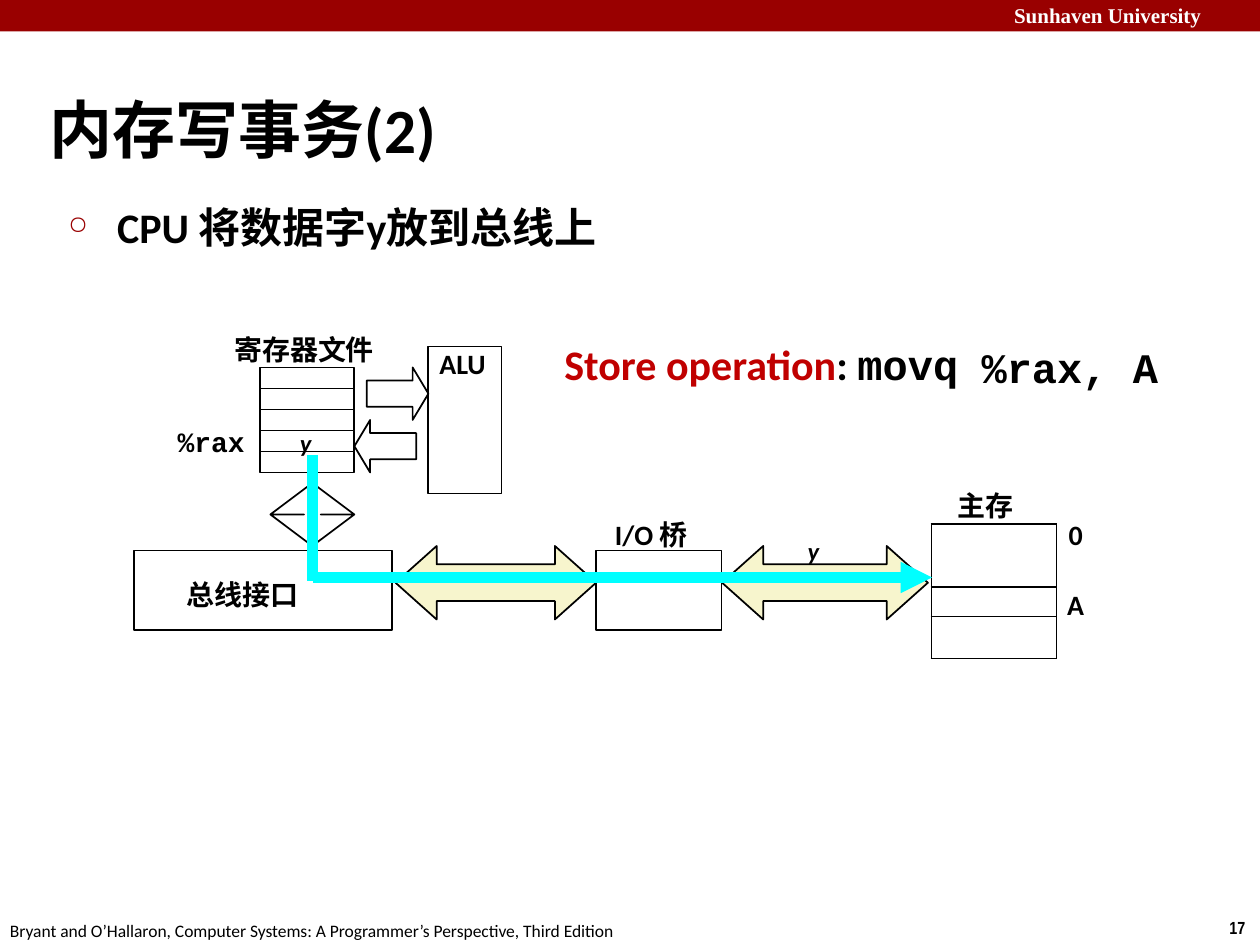
from lxml import etree
from pptx import Presentation
from pptx.dml.color import RGBColor
from pptx.enum.shapes import MSO_CONNECTOR, MSO_SHAPE
from pptx.enum.text import MSO_ANCHOR, PP_ALIGN
from pptx.oxml.ns import qn
from pptx.util import Pt

RECTANGLE = MSO_SHAPE.RECTANGLE
TRIANGLE = MSO_SHAPE.ISOSCELES_TRIANGLE
RIGHT_ARROW = MSO_SHAPE.RIGHT_ARROW
LEFT_ARROW = MSO_SHAPE.LEFT_ARROW
UP_DOWN_ARROW = MSO_SHAPE.UP_DOWN_ARROW
LEFT_RIGHT_ARROW = MSO_SHAPE.LEFT_RIGHT_ARROW
STRAIGHT = MSO_CONNECTOR.STRAIGHT
TOP, MIDDLE = MSO_ANCHOR.TOP, MSO_ANCHOR.MIDDLE
LEFT = PP_ALIGN.LEFT

BLACK, WHITE = "000000", "FFFFFF"
DARK_RED, RED = "990000", "C00000"
CREAM, CYAN = "F7F5CD", "00FFFF"
SANS, MONO = "Calibri", "Courier New"


def color(hex_string):
    return RGBColor.from_string(hex_string)


class Diagram:
    """Draws styled elements on one slide, with lengths in points."""

    def __init__(self, slide):
        self.slide = slide

    def box(self, kind, left, top, width, height, fill=None, line=BLACK, adjustments=()):
        shape = self.slide.shapes.add_shape(kind, Pt(left), Pt(top), Pt(width), Pt(height))
        shape.shadow.inherit = False
        if fill:
            shape.fill.solid()
            shape.fill.fore_color.rgb = color(fill)
        else:
            shape.fill.background()
        if line:
            shape.line.color.rgb = color(line)
            shape.line.width = Pt(1)
        else:
            shape.line.fill.background()
        for index, value in enumerate(adjustments):
            shape.adjustments[index] = value
        return shape

    def add_runs(self, shape, runs, size, insets=(0, 0, 0, 0), anchor=TOP, wrap=True, bold=True, italic=False):
        frame = shape.text_frame
        frame.word_wrap = wrap
        frame.vertical_anchor = anchor
        frame.margin_left, frame.margin_top, frame.margin_right, frame.margin_bottom = map(Pt, insets)
        paragraph = frame.paragraphs[0]
        paragraph.alignment = LEFT
        for text, font, ink in runs:
            run = paragraph.add_run()
            run.text = text
            run.font.name = font
            run.font.size = Pt(size)
            run.font.bold = bold
            run.font.italic = italic
            run.font.color.rgb = color(ink)
        return paragraph

    def text(self, left, top, width, height, text, size, font=SANS, ink=BLACK, **options):
        runs = [(text, font, ink)] if isinstance(text, str) else text
        shape = self.slide.shapes.add_textbox(Pt(left), Pt(top), Pt(width), Pt(height))
        return self.add_runs(shape, runs, size, **options)

    def bullet(self, paragraph, character, ink, percent, margin, hanging):
        properties = paragraph._p.get_or_add_pPr()
        properties.set("marL", str(Pt(margin)))
        properties.set("indent", str(-Pt(hanging)))
        bullet_color = etree.SubElement(properties, qn("a:buClr"))
        etree.SubElement(bullet_color, qn("a:srgbClr"), val=ink)
        etree.SubElement(properties, qn("a:buSzPct"), val=str(percent * 1000))
        etree.SubElement(properties, qn("a:buChar"), char=character)

    def line(self, start_x, start_y, end_x, end_y, ink, width):
        connector = self.slide.shapes.add_connector(STRAIGHT, Pt(start_x), Pt(start_y), Pt(end_x), Pt(end_y))
        connector.line.color.rgb = color(ink)
        connector.line.width = Pt(width)
        etree.SubElement(connector._element.spPr, qn("a:effectLst"))

    def column_table(self, left, top, width, heights):
        frame = self.slide.shapes.add_table(len(heights), 1, Pt(left), Pt(top), Pt(width), Pt(sum(heights)))
        table = frame.table
        table.first_row = table.horz_banding = False
        table.columns[0].width = Pt(width)
        for row, height in zip(table.rows, heights):
            row.height = Pt(height)
            cell = row.cells[0]
            cell.margin_left = cell.margin_right = cell.margin_top = cell.margin_bottom = 0
            etree.SubElement(cell.text_frame.paragraphs[0]._p, qn("a:endParaRPr"), sz="800")
            properties = cell._tc.get_or_add_tcPr()
            for side in ("a:lnL", "a:lnR", "a:lnT", "a:lnB"):
                border = etree.SubElement(properties, qn(side), w=str(Pt(1)))
                fill = etree.SubElement(border, qn("a:solidFill"))
                etree.SubElement(fill, qn("a:srgbClr"), val=BLACK)
            cell.fill.background()


def main():
    presentation = Presentation()
    presentation.slide_width, presentation.slide_height = Pt(720), Pt(540)
    diagram = Diagram(presentation.slides.add_slide(presentation.slide_layouts[6]))
    padding = (7.2, 3.6, 7.2, 3.6)

    diagram.box(RECTANGLE, 0, 0, 720, 18, DARK_RED, None)
    diagram.text(572.4, -2.2, 152.6, 21.6, "Sunhaven University", 12, "Times New Roman", WHITE, insets=padding)
    diagram.text(695.5, 520.6, 24.5, 19.4, "17", 10, "Arial Narrow", insets=padding, wrap=False)
    diagram.text(-1.4, 522, 366.5, 19.4, "Bryant and O’Hallaron, Computer Systems: A Programmer’s Perspective, Third Edition",
                 10, insets=padding, wrap=False, bold=False)
    diagram.text(28.4, 33.8, 597.6, 61.2, "内存写事务(2)", 36, insets=(0, 17.3, 0, 0), anchor=MIDDLE)
    heading = diagram.text(37.4, 115.2, 380.9, 28.8, "CPU 将数据字y放到总线上", 24)
    diagram.bullet(heading, "○", DARK_RED, 60, 29.5, 28)

    for left, width in ((412.6, 117.6), (226, 114.6)):
        diagram.box(LEFT_RIGHT_ARROW, left, 312, width, 42, CREAM, adjustments=(0.5, 0.56))
    for left, width in ((76.5, 147.5), (340.8, 71.6)):
        diagram.box(RECTANGLE, left, 314.6, width, 45.4)
    for row in range(5):
        diagram.box(RECTANGLE, 148.5, 210 + 12 * row, 54, 12)
    diagram.box(RIGHT_ARROW, 209.5, 210, 35.3, 30, adjustments=(0.5, 0.3))
    diagram.box(LEFT_ARROW, 202.5, 240, 35.3, 30, adjustments=(0.5, 0.3))
    diagram.box(UP_DOWN_ARROW, 154.5, 276, 48, 36, adjustments=(0.5, 0.2))
    alu = diagram.box(RECTANGLE, 244.6, 198, 42, 84)
    diagram.add_runs(alu, [("ALU", SANS, BLACK)], 16, insets=(6.5, 0, 0, 0))
    diagram.column_table(532.2, 299.5, 71.6, (36, 16.8, 24))

    for left, top in ((171.4, 244.8), (461.5, 306.5)):
        diagram.text(left, top, 9, 15.8, "y", 14, italic=True)
    diagram.line(178.6, 260, 178.6, 332, CYAN, 6)
    diagram.line(178.6, 330, 517.7, 330, CYAN, 6)
    diagram.box(TRIANGLE, 514.6, 321, 18, 18, CYAN, None).rotation = 90

    labels = (
        (610.6, 296, 10, 18, "0", SANS),
        (609.8, 335.6, 11.5, 18, "A", SANS),
        (101.5, 242.6, 40.3, 18, "%rax", MONO),
        (133.9, 190, 87.8, 19.4, "寄存器文件", SANS),
        (106.5, 329.8, 88.6, 19.4, "总线接口", SANS),
        (547.2, 279.4, 43.9, 19.4, "主存", SANS),
        (351.4, 296, 51.8, 19.4, "I/O 桥", SANS),
    )
    for left, top, width, height, text, font in labels:
        diagram.text(left, top, width, height, text, 16, font)
    operation = [("Store operation", SANS, RED), (": ", SANS, BLACK), ("movq", MONO, BLACK)]
    diagram.text(322.5, 193.7, 236.2, 28.8, operation, 24)
    diagram.text(560.9, 195.1, 121.7, 28.8, "%rax, A", 24, MONO)

    presentation.save("out.pptx")


if __name__ == "__main__":
    main()
